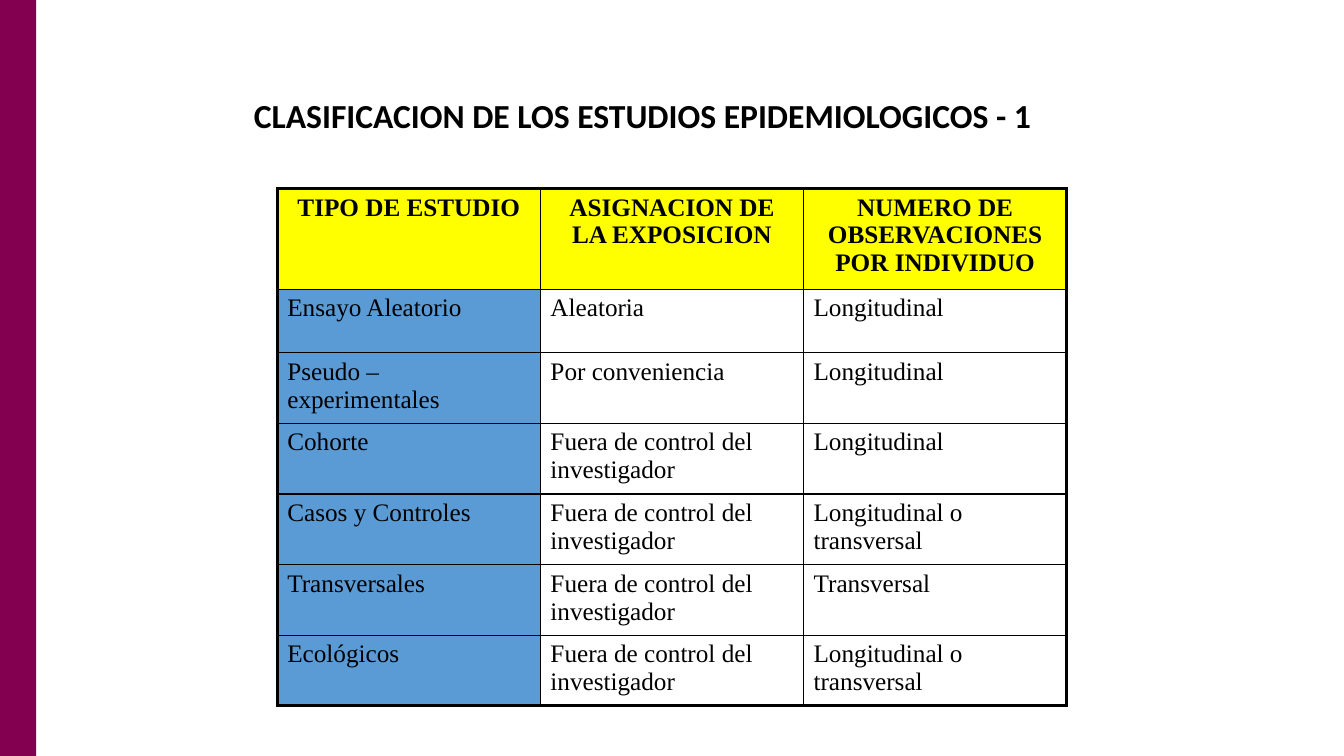
from lxml import etree
from pptx import Presentation
from pptx.dml.color import RGBColor
from pptx.enum.shapes import MSO_SHAPE
from pptx.enum.text import MSO_ANCHOR, PP_ALIGN
from pptx.oxml.ns import qn
from pptx.util import Inches, Pt

BLACK = RGBColor(0x00, 0x00, 0x00)
MAROON = RGBColor(0x83, 0x00, 0x51)
YELLOW = RGBColor(0xFF, 0xFF, 0x00)
BLUE = RGBColor(0x5B, 0x9B, 0xD5)

TITLE_FONT = {"name": "Calibri", "size": Pt(24), "bold": True}
HEADER_FONT = {"name": "Times New Roman", "size": Pt(18), "bold": True}
BODY_FONT = {**HEADER_FONT, "bold": False}
OUTER, INNER = Pt(2.25), Pt(1)

UNCONTROLLED = "Fuera de control del investigador"
STUDIES = [
    ("TIPO DE ESTUDIO", "ASIGNACION DE LA EXPOSICION",
     "NUMERO DE OBSERVACIONES POR INDIVIDUO"),
    ("Ensayo Aleatorio", "Aleatoria", "Longitudinal"),
    ("Pseudo – experimentales", "Por conveniencia", "Longitudinal"),
    ("Cohorte", UNCONTROLLED, "Longitudinal"),
    ("Casos y Controles", UNCONTROLLED, "Longitudinal o transversal"),
    ("Transversales", UNCONTROLLED, "Transversal"),
    ("Ecológicos", UNCONTROLLED, "Longitudinal o transversal"),
]
ROW_HEIGHTS = [0.98, 0.63] + [0.69] * 5


def write(paragraph, text, font_format):
    paragraph.text = text
    font = paragraph.runs[0].font
    for attribute, value in font_format.items():
        setattr(font, attribute, value)
    font.color.rgb = BLACK


def set_borders(cell, widths):
    """Draw the left, right, top and bottom borders, in that order."""
    properties = cell._tc.get_or_add_tcPr()
    for position, (side, width) in enumerate(zip("LRTB", widths)):
        line = etree.Element(qn(f"a:ln{side}"), w=str(int(width)))
        fill = etree.SubElement(line, qn("a:solidFill"))
        etree.SubElement(fill, qn("a:srgbClr"), val=str(BLACK))
        properties.insert(position, line)


def add_side_band(slide, left, top, width, height):
    band = slide.shapes.add_shape(MSO_SHAPE.RECTANGLE, left, top, width, height)
    band.shadow.inherit = False
    band.fill.solid()
    band.fill.fore_color.rgb = MAROON
    band.line.fill.background()


def add_title(slide, left, top, width, height):
    frame = slide.shapes.add_textbox(left, top, width, height).text_frame
    frame.word_wrap = True
    frame.vertical_anchor = MSO_ANCHOR.MIDDLE
    heading = frame.paragraphs[0]
    heading.line_spacing = 0.9
    write(heading, "CLASIFICACION DE LOS ESTUDIOS EPIDEMIOLOGICOS - 1", TITLE_FONT)


def add_studies_table(slide, left, top, width, height):
    last_row, last_column = len(STUDIES) - 1, len(STUDIES[0]) - 1
    table = slide.shapes.add_table(last_row + 1, last_column + 1,
                                   left, top, width, height).table
    table.first_row = table.horz_banding = False
    for column in table.columns:
        column.width = int(width / (last_column + 1))
    for r, (study, share) in enumerate(zip(STUDIES, ROW_HEIGHTS)):
        table.rows[r].height = int(height * share / sum(ROW_HEIGHTS))
        for c, text in enumerate(study):
            cell = table.cell(r, c)
            paragraph = cell.text_frame.paragraphs[0]
            write(paragraph, text, BODY_FONT if r else HEADER_FONT)
            paragraph.alignment = PP_ALIGN.LEFT if r else PP_ALIGN.CENTER
            # Yellow header row, blue first column, open cells elsewhere
            if r == 0 or c == 0:
                cell.fill.solid()
                cell.fill.fore_color.rgb = BLUE if r else YELLOW
            else:
                cell.fill.background()
            # Thick frame around thin inner lines
            on_edge = (c == 0, c == last_column, r == 0, r == last_row)
            set_borders(cell, [OUTER if edge else INNER for edge in on_edge])


def main():
    deck = Presentation()
    deck.slide_width, deck.slide_height = Inches(13.33), Inches(7.5)
    slide = deck.slides.add_slide(deck.slide_layouts[6])
    add_side_band(slide, 0, 0, Inches(0.36), deck.slide_height)
    add_title(slide, Inches(2.42), Inches(0.67), Inches(8.5), Inches(1))
    add_studies_table(slide, Inches(2.75), Inches(1.87),
                      Inches(7.83), Inches(sum(ROW_HEIGHTS)))
    deck.save("out.pptx")


if __name__ == "__main__":
    main()
